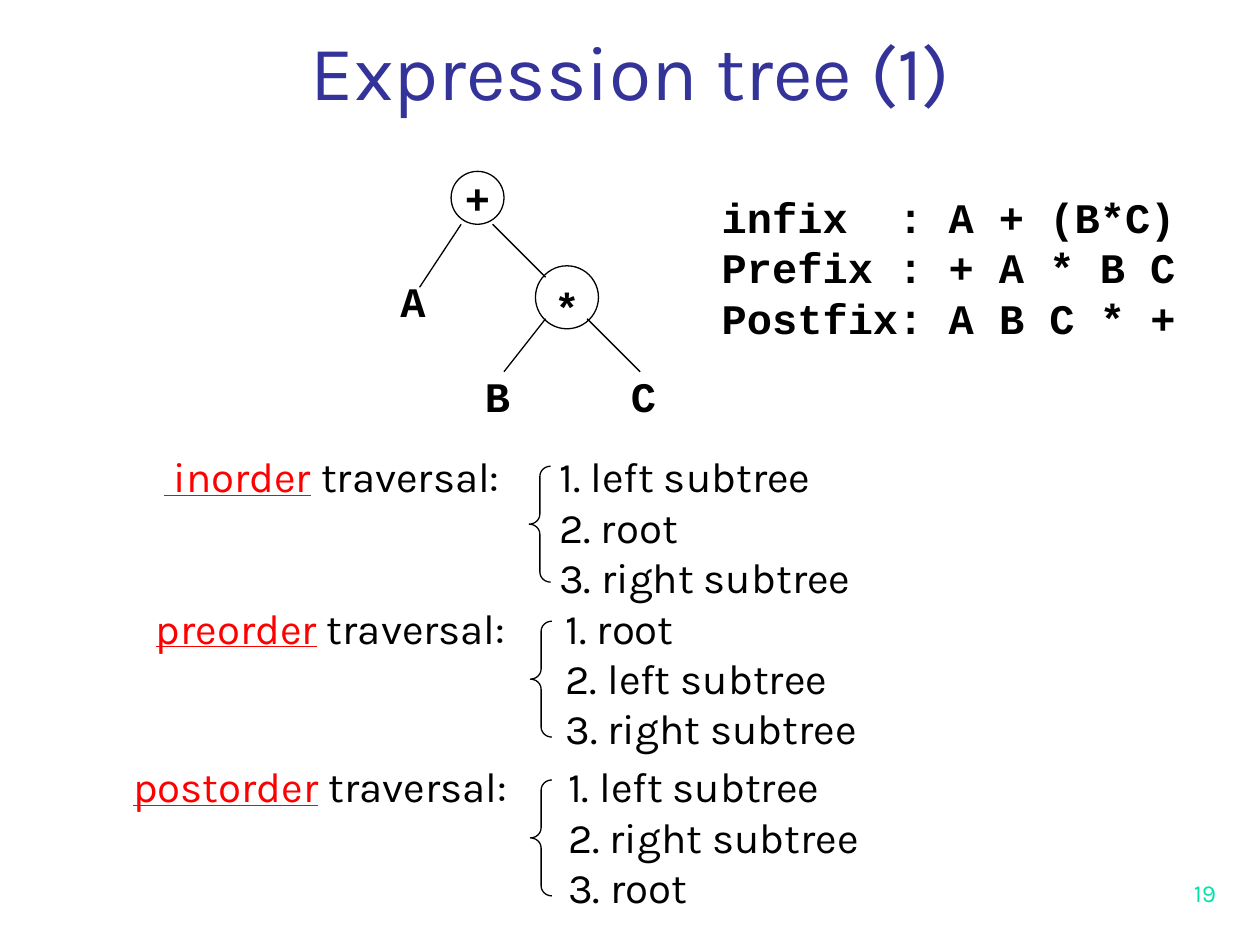
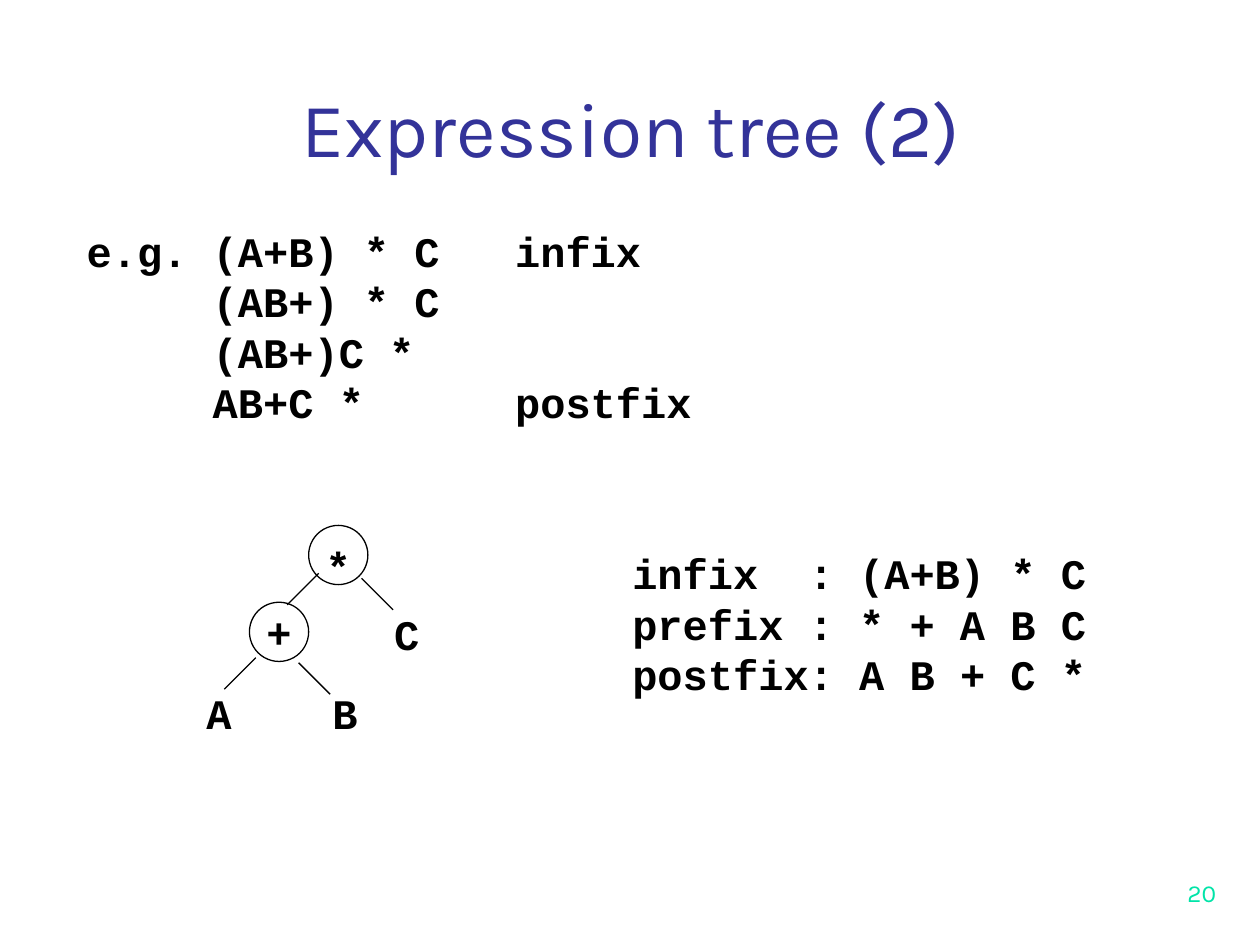
from lxml import etree
from pptx import Presentation
from pptx.dml.color import RGBColor
from pptx.enum.shapes import MSO_CONNECTOR, MSO_SHAPE
from pptx.enum.text import MSO_ANCHOR, PP_ALIGN
from pptx.oxml.ns import qn
from pptx.util import Inches, Pt

SANS, MONO = "Karla", "Courier New"
INK, TITLE, KEYWORD, FOOTER = "000000", "333399", "FF0000", "00E4A8"
CHAR = 0.2  # advance of one monospaced character at 24 pt, in inches


def rgb(value):
    return RGBColor.from_string(value)


def add_tabs(paragraph, stops):
    tab_list = etree.SubElement(paragraph._p.get_or_add_pPr(), qn("a:tabLst"))
    for stop in stops:
        etree.SubElement(tab_list, qn("a:tab"), pos=str(Inches(stop)), algn="l")


def write(frame, text, font=MONO, size=24, color=INK, bold=False, align=PP_ALIGN.LEFT,
          anchor=MSO_ANCHOR.TOP, wrap=False, tabs=(), keyword=None):
    """Fill a frame line by line; the keyword is underlined in its own colour."""
    frame.word_wrap = wrap
    frame.vertical_anchor = anchor
    for number, line in enumerate(text.split("\n")):
        paragraph = frame.add_paragraph() if number else frame.paragraphs[0]
        if tabs:
            add_tabs(paragraph, tabs)
        paragraph.alignment = align
        paragraph.line_spacing = Pt(size * 1.2)
        before, marked, after = line.partition(keyword) if keyword else (line, "", "")
        for part in (before, marked, after):
            if not part:
                continue
            run = paragraph.add_run()
            run.text = part
            run.font.name = font
            run.font.size = Pt(size)
            run.font.bold = bold
            is_keyword = bool(marked) and part == marked
            run.font.underline = is_keyword
            run.font.color.rgb = rgb(KEYWORD if is_keyword else color)


class Deck:
    def __init__(self):
        self.show = Presentation()
        self.show.slide_width, self.show.slide_height = Inches(10), Inches(7.5)
        self.slide = None

    def new_slide(self, title, title_top, number):
        self.slide = self.show.slides.add_slide(self.show.slide_layouts[6])
        self.text(0.75, title_top, 8.52, 1, title, font=SANS, size=44, color=TITLE,
                  align=PP_ALIGN.CENTER, anchor=MSO_ANCHOR.BOTTOM, wrap=True)
        self.text(7.67, 6.75, 2.08, 0.5, number, font=SANS, size=14, color=FOOTER,
                  align=PP_ALIGN.RIGHT, anchor=MSO_ANCHOR.BOTTOM, wrap=True)

    def text(self, left, top, width, height, content, **style):
        box = self.slide.shapes.add_textbox(Inches(left), Inches(top),
                                            Inches(width), Inches(height))
        write(box.text_frame, content, **style)

    def code(self, left, top, width, content, **style):
        height = 0.1 + 0.4 * len(content.split("\n"))
        self.text(left, top, width, height, content, bold=True, **style)

    def outline(self, kind, left, top, width, height):
        shape = self.slide.shapes.add_shape(kind, Inches(left), Inches(top),
                                            Inches(width), Inches(height))
        shape.shadow.inherit = False
        shape.fill.background()
        shape.line.color.rgb = rgb(INK)
        shape.line.width = Pt(0.75)
        return shape

    def operator(self, left, top, size, symbol):
        node = self.outline(MSO_SHAPE.OVAL, left, top, size, size)
        anchor = MSO_ANCHOR.MIDDLE if symbol == "+" else MSO_ANCHOR.TOP
        write(node.text_frame, symbol, bold=True, align=PP_ALIGN.CENTER, anchor=anchor)

    def edge(self, x1, y1, x2, y2):
        line = self.slide.shapes.add_connector(MSO_CONNECTOR.STRAIGHT, Inches(x1), Inches(y1),
                                               Inches(x2), Inches(y2))
        line.line.color.rgb = rgb(INK)
        line.line.width = Pt(0.75)
        etree.SubElement(line._element.spPr, qn("a:effectLst"))

    def tree(self, operators, leaves, edges):
        for operator in operators:
            self.operator(*operator)
        for left, top, letter in leaves:
            self.code(left, top, 0.4, letter)
        for ends in edges:
            self.edge(*ends)

    def traversal(self, left, top, width, tab, brace, order, label, steps):
        """A named traversal whose numbered steps stand behind a brace."""
        numbered = [f"\t{i}. {step}" for i, step in enumerate(steps, 1)]
        self.text(left, top, width, 1.3, label + "\n".join(numbered), font=SANS,
                  tabs=[tab], keyword=order, wrap=True)
        curly = self.outline(MSO_SHAPE.LEFT_BRACE, *brace, 0.17, 0.92)
        curly.adjustments[0] = 0.47


def main():
    deck = Deck()

    # Slide 1: tree of A + (B*C)
    deck.new_slide("Expression tree (1)", -0.03, "19")
    deck.tree(
        operators=[(3.58, 1.36, 0.42, "+"), (4.25, 2.11, 0.5, "*")],
        leaves=[(3.08, 2.14, "A"), (3.75, 2.89, "B"), (4.91, 2.89, "C")],
        edges=[(3.91, 1.78, 4.33, 2.2), (3.66, 1.78, 3.33, 2.28),
               (4.66, 2.53, 5.08, 2.95), (4.33, 2.53, 4, 2.95)])
    deck.code(5.63, 1.47, 3.8,
              "infix\t: A + (B*C)\nPrefix\t: + A * B C\nPostfix: A B C * +",
              tabs=[7 * CHAR])

    # Three traversal orders
    left, root, right = "left subtree", "root", "right subtree"
    deck.traversal(1.2, 3.53, 8, 3.14, (4.2, 3.7), " inorder",
                   " inorder traversal:", (left, root, right))
    deck.traversal(1.06, 4.73, 8.11, 3.33, (4.21, 4.93), "preorder",
                   " preorder traversal:", (root, left, right))
    deck.traversal(0.88, 5.99, 8.51, 3.53, (4.21, 6.19), "postorder",
                   " postorder traversal:", (left, right, root))

    # Slide 2: from infix to postfix, and the tree of (A+B) * C
    deck.new_slide("Expression tree (2)", 0.42, "20")
    deck.code(0.59, 1.74, 5.4,
              "e.g.\t(A+B) * C\tinfix\n\t(AB+) * C\n\t(AB+)C *\n\tAB+C *\tpostfix",
              tabs=[5 * CHAR, 17 * CHAR])
    deck.tree(
        operators=[(1.98, 4.78, 0.47, "+"), (2.45, 4.17, 0.47, "*")],
        leaves=[(3.03, 4.78, "C"), (1.54, 5.41, "A"), (2.54, 5.41, "B")],
        edges=[(2.28, 4.8, 2.53, 4.55), (3.12, 4.84, 2.87, 4.59),
               (2.37, 5.26, 2.62, 5.51), (1.78, 5.47, 2.03, 5.22)])
    deck.code(4.92, 4.3, 4.26,
              "infix\t: (A+B) * C\nprefix\t: * + A B C\npostfix: A B + C *",
              tabs=[7 * CHAR], wrap=True)

    deck.show.save("out.pptx")


if __name__ == "__main__":
    main()
